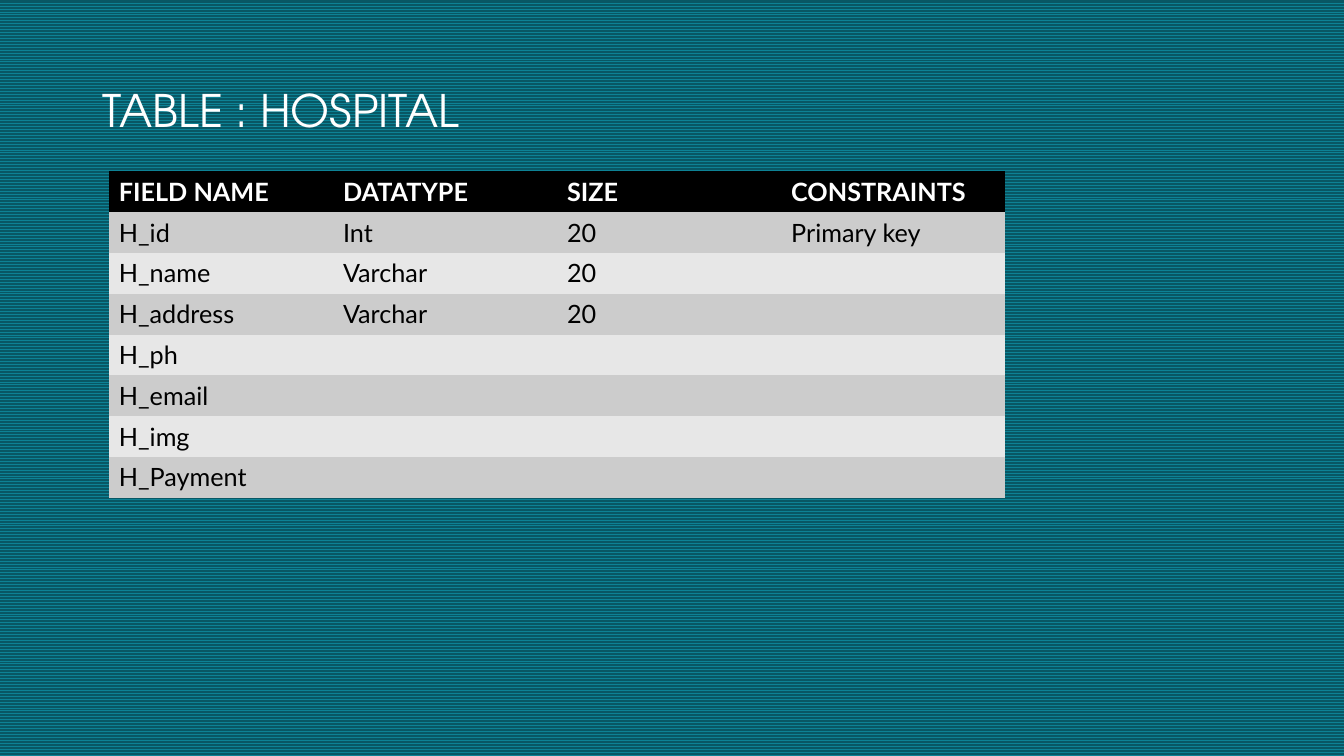
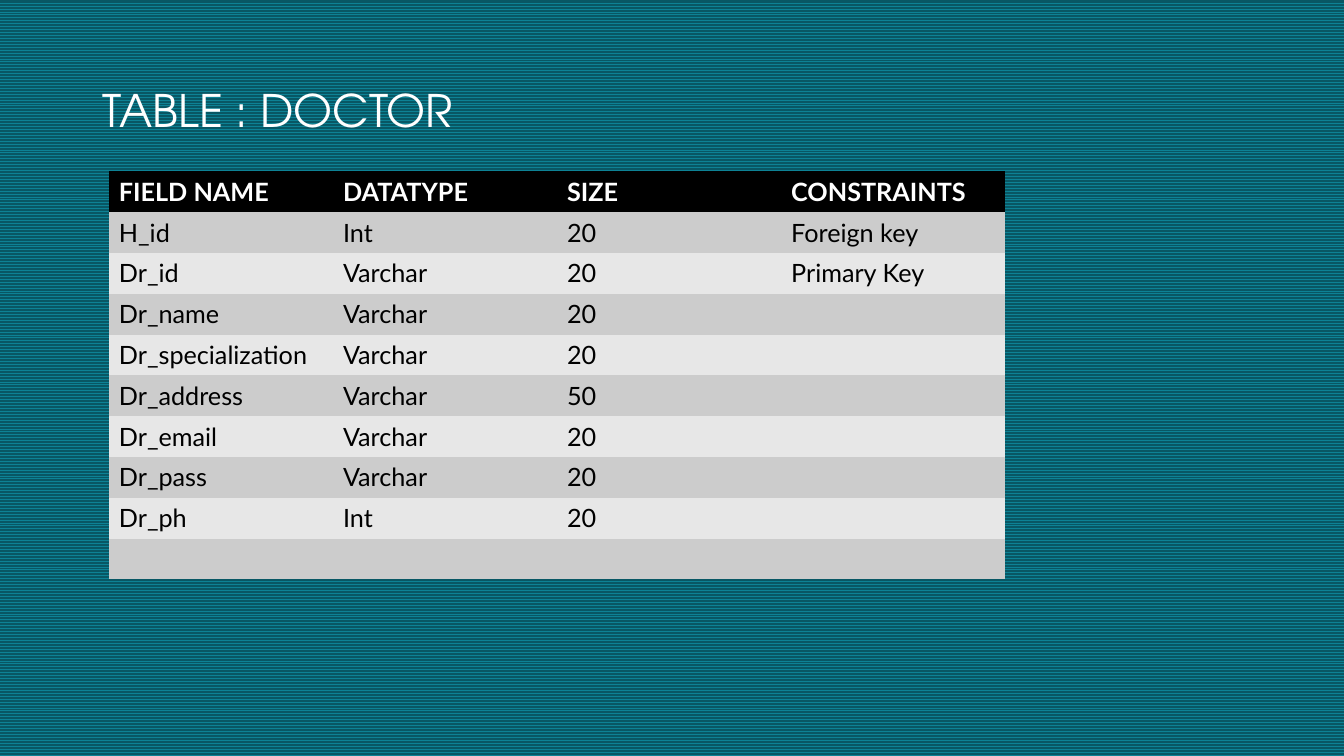
from pptx import Presentation
from pptx.dml.color import RGBColor
from pptx.enum.dml import MSO_PATTERN
from pptx.enum.text import MSO_ANCHOR
from pptx.oxml.ns import qn
from pptx.util import Inches, Pt

STRIPE, BACKDROP = "0D8295", "085764"
HEADER_FILL, ROW_FILLS = "000000", ("CCCCCC", "E7E7E7")
PLAIN_STYLE = "{2D5ABB26-0587-4C30-8999-92F81FD0307C}"

TITLE_FONT = {"name": "TeX Gyre Adventor", "size": Pt(32), "color": "FFFFFF"}
HEADER_FONT = {"name": "Lato", "size": Pt(18), "bold": True, "color": "FFFFFF"}
BODY_FONT = {"name": "Lato", "size": Pt(18), "bold": False, "color": "000000"}

TITLE_BOX = (0.92, 0.4, 11.5, 1.45)
TABLE_LEFT, TABLE_TOP, TABLE_WIDTH, ROW_HEIGHT = 1.08, 1.7, 8.89, 0.405

HEADERS = ("FIELD NAME", "DATATYPE", "SIZE", "CONSTRAINTS")
HOSPITAL_ROWS = [
    ("H_id", "Int", "20", "Primary key"),
    ("H_name", "Varchar", "20"),
    ("H_address", "Varchar", "20"),
    ("H_ph",),
    ("H_email",),
    ("H_img",),
    ("H_Payment",),
]
DOCTOR_ROWS = [
    ("H_id", "Int", "20", "Foreign key"),
    ("Dr_id", "Varchar", "20", "Primary Key"),
    ("Dr_name", "Varchar", "20"),
    ("Dr_specialization", "Varchar", "20"),
    ("Dr_address", "Varchar", "50"),
    ("Dr_email", "Varchar", "20"),
    ("Dr_pass", "Varchar", "20"),
    ("Dr_ph", "Int", "20"),
    (),
]


def rgb(value):
    return RGBColor.from_string(value)


def apply_font(font, style):
    for name, value in style.items():
        if name == "color":
            font.color.rgb = rgb(value)
        else:
            setattr(font, name, value)


def paint_background(slide):
    fill = slide.background.fill
    fill.patterned()
    fill.pattern = MSO_PATTERN.ZIG_ZAG
    fill.fore_color.rgb = rgb(STRIPE)
    fill.back_color.rgb = rgb(BACKDROP)


def add_title(slide, text, box):
    frame = slide.shapes.add_textbox(*map(Inches, box)).text_frame
    frame.word_wrap = True
    frame.vertical_anchor = MSO_ANCHOR.MIDDLE
    paragraph = frame.paragraphs[0]
    paragraph.line_spacing = 0.9
    run = paragraph.add_run()
    run.text = text
    apply_font(run.font, TITLE_FONT)


def fill_cell(cell, text, fill, style):
    cell.fill.solid()
    cell.fill.fore_color.rgb = rgb(fill)
    paragraph = cell.text_frame.paragraphs[0]
    if text:
        run = paragraph.add_run()
        run.text = text
        apply_font(run.font, style)


def add_field_table(slide, records, left, top, width):
    rows = [HEADERS, *records]
    shape = slide.shapes.add_table(
        len(rows), len(HEADERS), Inches(left), Inches(top),
        Inches(width), Inches(ROW_HEIGHT * len(rows)))
    table = shape.table
    table.horz_banding = False
    for style_id in shape._element.iter(qn("a:tableStyleId")):
        style_id.text = PLAIN_STYLE
    for row_index, values in enumerate(rows):
        is_header = row_index == 0
        fill = HEADER_FILL if is_header else ROW_FILLS[(row_index - 1) % 2]
        style = HEADER_FONT if is_header else BODY_FONT
        for column in range(len(HEADERS)):
            text = values[column] if column < len(values) else ""
            fill_cell(table.cell(row_index, column), text, fill, style)


def add_schema_slide(presentation, title, records):
    slide = presentation.slides.add_slide(presentation.slide_layouts[6])
    paint_background(slide)
    add_title(slide, title, TITLE_BOX)
    add_field_table(slide, records, TABLE_LEFT, TABLE_TOP, TABLE_WIDTH)


presentation = Presentation()
presentation.slide_width = Inches(13.33)
presentation.slide_height = Inches(7.5)
add_schema_slide(presentation, "TABLE : HOSPITAL", HOSPITAL_ROWS)
add_schema_slide(presentation, "TABLE : DOCTOR", DOCTOR_ROWS)
presentation.save("out.pptx")
